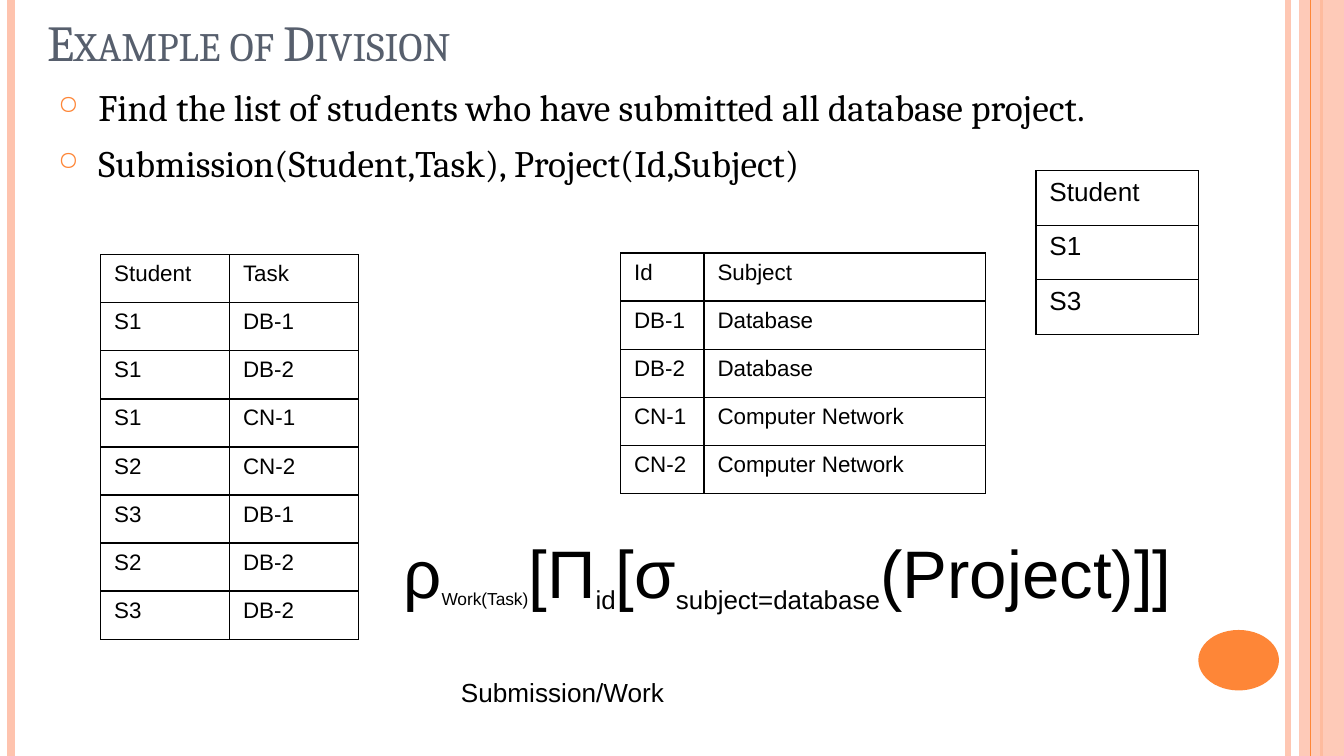
import pptx
import pptx.util
import pptx.dml.color
import pptx.enum.shapes
import pptx.enum.text
import pptx.oxml.ns
import lxml.etree

Pt = pptx.util.Pt
RGB = pptx.dml.color.RGBColor.from_string
KINDS = pptx.enum.shapes.MSO_SHAPE
FIT = pptx.enum.text.MSO_AUTO_SIZE
qn = pptx.oxml.ns.qn

THEME = {
    "peach": "FEC3AE", "orange": "FE8637", "slate": "575F6D", "black": "000000",
    "title": {"name": "Cambria", "size": Pt(27), "bold": False},
    "body": {"name": "Cambria", "size": Pt(20)},
    "cell": {"name": "Arial", "size": Pt(12), "bold": False},
    "label": {"name": "Arial", "size": Pt(14), "bold": False},
    "large": {"name": "Arial", "size": Pt(36)},
    "small": {"name": "Arial", "size": Pt(16)},
    "mid": {"name": "Arial", "size": Pt(24)},
}
WIDE, HIGH = 720, 405

TITLE = "Example of Division"
POINTS = [
    "Find the list of students who have submitted all database project.",
    "Submission(Student,Task), Project(Id,Subject)",
]
TABLES = [
    {"at": (54, 136.5), "cols": [69, 69], "row": 25.74, "style": "cell", "data": [
        ("Student", "Task"), ("S1", "DB-1"), ("S1", "DB-2"), ("S1", "CN-1"),
        ("S2", "CN-2"), ("S3", "DB-1"), ("S2", "DB-2"), ("S3", "DB-2")]},
    {"at": (332.5, 135.5), "cols": [44.7, 151], "row": 25.8, "style": "cell", "data": [
        ("Id", "Subject"), ("DB-1", "Database"), ("DB-2", "Database"),
        ("CN-1", "Computer Network"), ("CN-2", "Computer Network")]},
    {"at": (555, 91.5), "cols": [87], "row": 29.2, "style": "label", "data": [
        ("Student",), ("S1",), ("S3",)]},
]
FORMULA = [
    ("ρ", "large"), ("Work(Task)", "small"), ("[Π", "large"), ("id", "mid"),
    ("[σ", "large"), ("subject=database", "mid"), ("(Project)]]", "large"),
]
LABEL = [("Submission/Work", "label")]
RULES = [(690, "peach", 3, 93), (6, "peach", 4.5, 100), (708, "orange", 1.5, 100)]
EDGE = (702, "orange", 0.75, 100)


def assign(obj, vals):
    for key, val in vals.items():
        setattr(obj, key, val)


def style(font, name, hue="black"):
    assign(font, THEME[name])
    font.color.rgb = RGB(THEME[hue])


def add(node, tag, **vals):
    return lxml.etree.SubElement(node, qn(tag), vals)


def fade(node, alpha):
    if alpha < 100:
        for clr in node.iter(qn("a:srgbClr")):
            add(clr, "a:alpha", val=str(alpha * 1000))


def draw_rule(slide, left, hue, width, alpha):
    kind = pptx.enum.shapes.MSO_CONNECTOR.STRAIGHT
    rule = slide.shapes.add_connector(kind, Pt(left), 0, Pt(left), Pt(HIGH))
    rule.line.color.rgb = RGB(THEME[hue])
    rule.line.width = Pt(width)
    fade(rule._element.spPr, alpha)
    add(rule._element.spPr, "a:effectLst")


def draw_shape(slide, kind, box, hue, alpha=100):
    shape = slide.shapes.add_shape(kind, *map(Pt, box))
    shape.shadow.inherit = False
    shape.fill.solid()
    shape.fill.fore_color.rgb = RGB(THEME[hue])
    shape.line.fill.background()
    fade(shape._element.spPr, alpha)


def draw_title(slide):
    title = slide.shapes.title
    assign(title, {"left": Pt(18), "top": Pt(4.3), "width": Pt(288), "height": Pt(37.5)})
    frame = title.text_frame
    assign(frame, {"text": TITLE, "word_wrap": True, "auto_size": FIT.NONE,
                   "vertical_anchor": pptx.enum.text.MSO_ANCHOR.BOTTOM})
    para = frame.paragraphs[0]
    para.alignment = pptx.enum.text.PP_ALIGN.LEFT
    run = para.runs[0]
    style(run.font, "title", "slate")
    run._r.get_or_add_rPr().set("cap", "small")


def draw_points(slide):
    frame = slide.shapes.add_textbox(*map(Pt, (24, 41.5, 660, 227.5))).text_frame
    frame.word_wrap = True
    for num, text in enumerate(POINTS):
        para = frame.add_paragraph() if num else frame.paragraphs[0]
        props = para._p.get_or_add_pPr()
        assign(para, {"space_before": Pt(6 if num else 0)})
        props.set("marL", str(Pt(21.6)))
        props.set("indent", str(-Pt(21.6)))
        add(add(props, "a:buClr"), "a:srgbClr", val=THEME["orange"])
        add(props, "a:buSzPct", val="70000")
        add(props, "a:buChar", char="○")
        run = para.add_run()
        run.text = text
        style(run.font, "body")


def draw_text(slide, box, parts):
    frame = slide.shapes.add_textbox(*map(Pt, box)).text_frame
    assign(frame, {"word_wrap": True, "auto_size": FIT.SHAPE_TO_FIT_TEXT})
    for text, name in parts:
        run = frame.paragraphs[0].add_run()
        run.text = text
        style(run.font, name)
        if name in ("small", "mid"):
            run._r.get_or_add_rPr().set("baseline", "-25000")


def fill_cell(cell, text, name):
    cell.text = text
    style(cell.text_frame.paragraphs[0].runs[0].font, name)
    props = cell._tc.get_or_add_tcPr()
    for side in ("L", "R", "T", "B"):
        edge = add(props, f"a:ln{side}", w=str(Pt(0.75)))
        add(add(edge, "a:solidFill"), "a:srgbClr", val=THEME["black"])
    cell.fill.background()


def draw_table(slide, item):
    rows, cols = item["data"], item["cols"]
    box = (*item["at"], sum(cols), item["row"] * len(rows))
    table = slide.shapes.add_table(len(rows), len(cols), *map(Pt, box)).table
    assign(table, {"first_row": False, "horz_banding": False})
    for col, width in zip(table.columns, cols):
        col.width = Pt(width)
    for y, row in enumerate(rows):
        table.rows[y].height = Pt(item["row"])
        for x, text in enumerate(row):
            fill_cell(table.cell(y, x), text, item["style"])


def main():
    deck = pptx.Presentation()
    assign(deck, {"slide_width": Pt(WIDE), "slide_height": Pt(HIGH)})
    slide = deck.slides.add_slide(deck.slide_layouts[5])
    for rule in RULES:
        draw_rule(slide, *rule)
    draw_shape(slide, KINDS.RECTANGLE, (696, 0, 24, HIGH), "peach", 87)
    draw_rule(slide, *EDGE)
    draw_shape(slide, KINDS.OVAL, (642, 337.5, 43.2, 32.4), "orange")
    draw_title(slide)
    draw_points(slide)
    for item in TABLES[:2]:
        draw_table(slide, item)
    draw_text(slide, (209, 281, 457, 51), FORMULA)
    draw_text(slide, (239.8, 358.7, 132, 24.2), LABEL)
    draw_table(slide, TABLES[2])
    deck.save("out.pptx")


if __name__ == "__main__":
    main()
